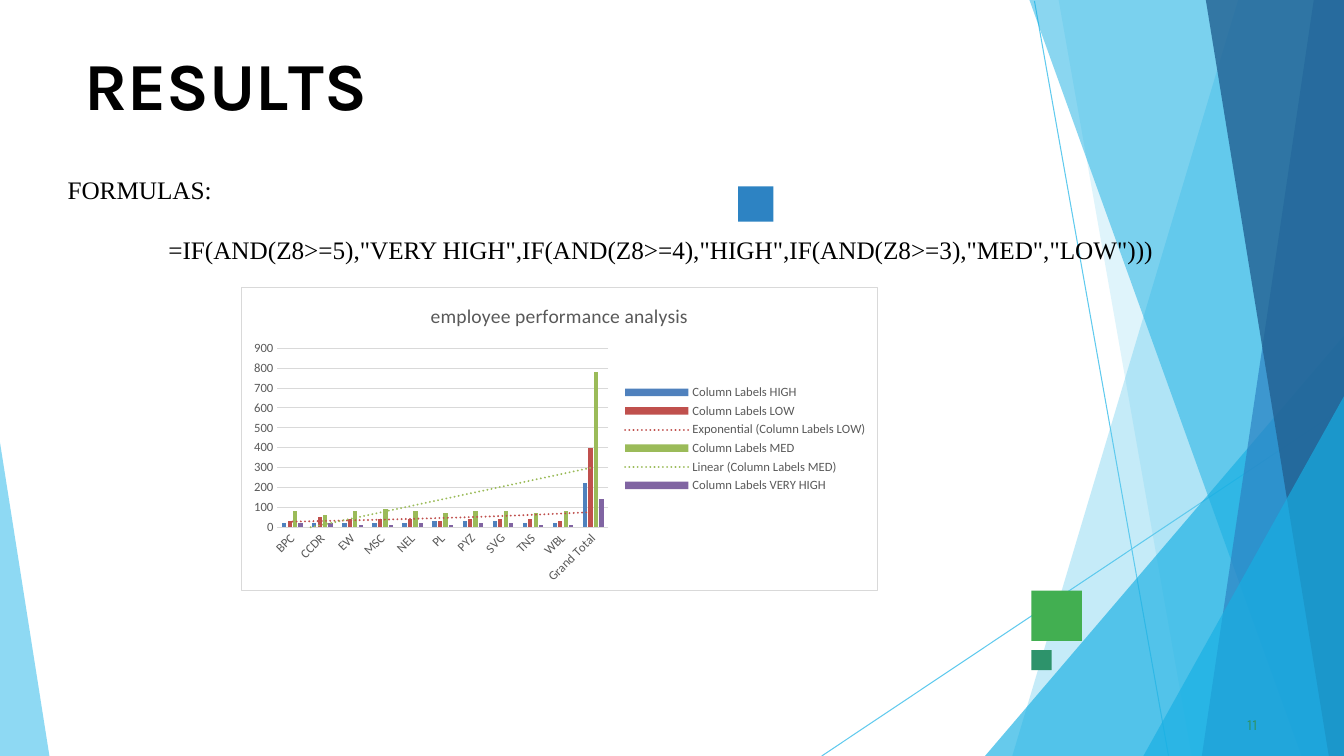
from dataclasses import dataclass

from lxml import etree
from pptx import Presentation
from pptx.chart.data import CategoryChartData
from pptx.dml.color import RGBColor
from pptx.enum import chart as ch, shapes, text
from pptx.oxml import parse_xml
from pptx.oxml.ns import nsdecls, qn
from pptx.util import Inches, Pt

WIDTH, HEIGHT = 13.33, 7.5
GREY, PALE = "595959", "D9D9D9"


@dataclass
class Facet:
    points: list[tuple[float, float]]
    color: str
    opacity: int


@dataclass
class Square:
    left: float
    top: float
    side: float
    color: str


@dataclass
class Rating:
    name: str
    counts: list[int]
    color: str
    trend: str = ""


def right_facet(top_x: float, bottom_x: float, color: str, opacity: int) -> Facet:
    """Full-height facet that reaches the right edge."""
    return Facet([(WIDTH, 0), (top_x, 0), (bottom_x, HEIGHT), (WIDTH, HEIGHT)], color, opacity)


def corner_facet(top_y: float, bottom_x: float) -> Facet:
    """Triangle in the bottom right corner."""
    return Facet([(WIDTH, top_y), (bottom_x, HEIGHT), (WIDTH, HEIGHT)], "17AFE3", 66)


RAYS = [(10.26, 0.01, 11.59, HEIGHT), (WIDTH, 4.04, 8.15, HEIGHT)]
FACETS = [
    right_facet(12.28, 10.04, "5FCAEE", 36),
    right_facet(10.5, 11.82, "5FCAEE", 20),
    corner_facet(3.33, 9.77),
    right_facet(10.21, 12.91, "17AFE3", 50),
    right_facet(13.03, 11.92, "2D83C3", 70),
    right_facet(11.96, 13.18, "226192", 80),
    corner_facet(3.93, 11.34),
    Facet([(0, 4.39), (0, HEIGHT), (0.49, HEIGHT)], "5FCAEE", 70),
]
SQUARES = [
    Square(10.23, 5.86, 0.5, "42AF51"),
    Square(7.32, 1.85, 0.35, "2D83C3"),
    Square(10.23, 6.45, 0.2, "2D936B"),
]
DEPARTMENTS = ["BPC", "CCDR", "EW", "MSC", "NEL", "PL", "PYZ", "SVG", "TNS", "WBL", "Grand Total"]
RATINGS = [
    Rating("HIGH", [20, 20, 20, 20, 20, 30, 30, 30, 20, 20, 220], "4F81BD"),
    Rating("LOW", [30, 50, 40, 40, 40, 30, 40, 40, 40, 30, 400], "C0504D", "exp"),
    Rating("MED", [80, 60, 80, 90, 80, 70, 80, 80, 70, 80, 780], "9BBB59", "linear"),
    Rating("VERY HIGH", [20, 20, 10, 10, 20, 10, 20, 20, 10, 10, 140], "8064A2"),
]


def rgb(color: str) -> RGBColor:
    return RGBColor.from_string(color)


def style_font(font, name: str, size: float, color: str, bold: bool = False) -> None:
    font.name, font.size, font.bold = name, Pt(size), bold
    font.color.rgb = rgb(color)


def style_line(line, color: str) -> None:
    line.color.rgb = rgb(color)
    line.width = Pt(0.75)


def fill_plain(shape, color: str) -> None:
    shape.fill.solid()
    shape.fill.fore_color.rgb = rgb(color)
    shape.line.fill.background()
    shape.shadow.inherit = False


def draw_ray(slide, ray: tuple[float, float, float, float]) -> None:
    connector = slide.shapes.add_connector(shapes.MSO_CONNECTOR.STRAIGHT, *map(Inches, ray))
    style_line(connector.line, "5FCAEE")
    etree.SubElement(connector._element.spPr, qn("a:effectLst"))


def draw_facet(slide, facet: Facet) -> None:
    corners = [(Inches(x), Inches(y)) for x, y in facet.points]
    builder = slide.shapes.build_freeform(*corners[0])
    builder.add_line_segments(corners[1:], close=True)
    shape = builder.convert_to_shape()
    fill_plain(shape, facet.color)
    tint = shape._element.spPr.find(qn("a:solidFill"))[0]
    etree.SubElement(tint, qn("a:alpha"), val=str(facet.opacity * 1000))


def draw_square(slide, square: Square) -> None:
    shape = slide.shapes.add_shape(
        shapes.MSO_SHAPE.RECTANGLE, Inches(square.left), Inches(square.top),
        Inches(square.side), Inches(square.side))
    fill_plain(shape, square.color)


def reset_frame(frame) -> None:
    frame.margin_left = frame.margin_right = frame.margin_bottom = 0
    frame.margin_top = Inches(0.01)
    frame.word_wrap = True
    frame.auto_size = text.MSO_AUTO_SIZE.NONE
    frame.vertical_anchor = text.MSO_ANCHOR.TOP


def draw_title(slide) -> None:
    title = slide.shapes.title
    slide.shapes._spTree.append(title._element)  # in front of the facets
    title.left, title.top, title.width, title.height = map(Inches, (0.83, 0.42, 11.68, 0.79))
    reset_frame(title.text_frame)
    heading = title.text_frame.paragraphs[0]
    heading.alignment = text.PP_ALIGN.LEFT
    heading.space_before = Pt(1.1)
    heading._p.get_or_add_pPr().set("marL", str(Inches(0.01)))
    for letters, spacing in [("RESU", -0.2), ("L", -4), ("TS", 0)]:
        run = heading.add_run()
        run.text = letters
        style_font(run.font, "Karla", 48, "000000", bold=True)
        run._r.get_or_add_rPr().set("spc", str(round(spacing * 100)))


def draw_formulas(slide) -> None:
    box = slide.shapes.add_textbox(*map(Inches, (0.67, 1.73, 12, 0.88)))
    frame = box.text_frame
    reset_frame(frame)
    frame.margin_top = 0
    frame.text = ('FORMULAS:\n=IF(AND(Z8>=5),"VERY HIGH",IF(AND(Z8>=4),"HIGH",'
                  'IF(AND(Z8>=3),"MED","LOW")))')
    for paragraph in frame.paragraphs:
        style_font(paragraph.runs[0].font, "Times New Roman", 18, "000000")
    formula = frame.paragraphs[1]
    formula.space_before = Pt(21)
    formula._p.get_or_add_pPr().set("marL", str(Inches(1)))


def draw_page_number(slide) -> None:
    box = slide.shapes.add_textbox(*map(Inches, (12.33, 7.08, 0.25, 0.21)))
    reset_frame(box.text_frame)
    box.text_frame.text = "11"
    number = box.text_frame.paragraphs[0]
    number.space_before = Pt(0.6)
    number._p.get_or_add_pPr().set("marL", str(Inches(0.04)))
    style_font(number.runs[0].font, "Karla", 11, "2D936B")


def add_trend(series, rating: Rating) -> None:
    trend = parse_xml(
        f'<c:trendline {nsdecls("c", "a")}><c:spPr><a:ln w="{Pt(1.5)}" cap="rnd">'
        f'<a:solidFill><a:srgbClr val="{rating.color}"/></a:solidFill>'
        f'<a:prstDash val="sysDot"/></a:ln></c:spPr><c:trendlineType val="{rating.trend}"/>'
        '<c:dispRSqr val="0"/><c:dispEq val="0"/></c:trendline>')
    series._element.find(qn("c:cat")).addprevious(trend)


def style_axes(chart) -> None:
    departments, counts = chart.category_axis, chart.value_axis
    for axis in (departments, counts):
        axis.major_tick_mark = axis.minor_tick_mark = ch.XL_TICK_MARK.NONE
        style_font(axis.tick_labels.font, "Calibri", 9, GREY)
    style_line(departments.format.line, PALE)
    departments._element.find(qn("c:txPr")).find(qn("a:bodyPr")).set("rot", str(-45 * 60000))
    counts.format.line.fill.background()
    style_line(counts.major_gridlines.format.line, PALE)
    counts.minimum_scale, counts.maximum_scale, counts.major_unit = 0, 900, 100


def draw_chart(slide) -> None:
    data = CategoryChartData()
    data.categories = DEPARTMENTS
    for rating in RATINGS:
        data.add_series(f"Column Labels {rating.name}", rating.counts)
    chart = slide.shapes.add_chart(
        ch.XL_CHART_TYPE.COLUMN_CLUSTERED, *map(Inches, (2.39, 2.85, 6.32, 3.01)), data).chart
    style_font(chart.font, "Calibri", 10, "000000")
    chart.chart_title.text_frame.text = "employee performance analysis"
    style_font(chart.chart_title.text_frame.paragraphs[0].runs[0].font, "Calibri", 14, GREY)
    chart.has_legend = True
    chart.legend.position = ch.XL_LEGEND_POSITION.RIGHT
    chart.legend.include_in_layout = False
    style_font(chart.legend.font, "Calibri", 9, GREY)
    style_axes(chart)
    plot = chart.plots[0]
    plot.gap_width, plot.overlap, plot.vary_by_categories = 219, -27, False
    for series, rating in zip(plot.series, RATINGS):
        series.format.fill.solid()
        series.format.fill.fore_color.rgb = rgb(rating.color)
        if rating.trend:
            add_trend(series, rating)
    frame = parse_xml(
        f'<c:spPr {nsdecls("c", "a")}><a:solidFill><a:srgbClr val="FFFFFF"/></a:solidFill>'
        f'<a:ln w="{Pt(0.75)}"><a:solidFill><a:srgbClr val="{PALE}"/></a:solidFill></a:ln></c:spPr>')
    chart._chartSpace.find(qn("c:txPr")).addprevious(frame)


def main() -> None:
    deck = Presentation()
    deck.slide_width, deck.slide_height = Inches(WIDTH), Inches(HEIGHT)
    slide = deck.slides.add_slide(deck.slide_layouts.get_by_name("Title Only"))
    for ray in RAYS:
        draw_ray(slide, ray)
    for facet in FACETS:
        draw_facet(slide, facet)
    for square in SQUARES:
        draw_square(slide, square)
    draw_title(slide)
    draw_formulas(slide)
    draw_page_number(slide)
    draw_chart(slide)
    deck.save("out.pptx")


if __name__ == "__main__":
    main()
